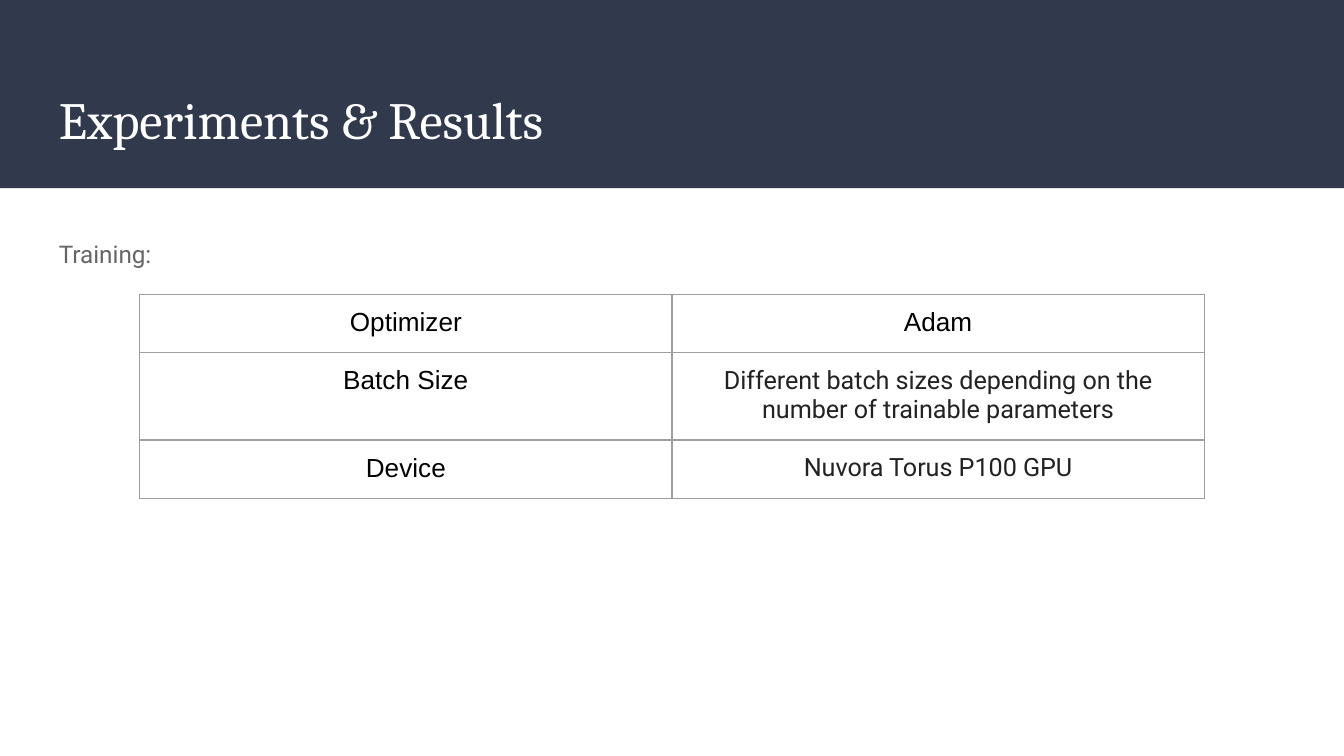
"""Build the training setup slide with a title band and a settings table."""
from lxml import etree
from pptx import Presentation
from pptx.dml.color import RGBColor
from pptx.enum.shapes import MSO_SHAPE
from pptx.enum.text import MSO_ANCHOR, PP_ALIGN
from pptx.oxml.ns import qn
from pptx.util import Inches, Pt

RECT = MSO_SHAPE.RECTANGLE
TOP = MSO_ANCHOR.TOP
LEFT, CENTER = PP_ALIGN.LEFT, PP_ALIGN.CENTER
COLORS = {"band": "31394D", "white": "FFFFFF", "body": "666666",
          "black": "000000", "detail": "222222", "border": "9E9E9E"}
LABEL = {"size": 14, "font": "Arial", "color": "black"}
DETAIL = {"size": 13.5, "font": "Roboto", "color": "detail"}
ROWS = [
    [("Optimizer", LABEL), ("Adam", LABEL)],
    [("Batch Size", LABEL),
     ("Different batch sizes depending on the number of trainable parameters", DETAIL)],
    [("Device", LABEL), ("Nuvora Torus P100 GPU", DETAIL)],
]


def rgb(name):
    return RGBColor.from_string(COLORS[name])


def write(tf, text, size, font, color, align=LEFT, spacing=None):
    tf.word_wrap = True
    p = tf.paragraphs[0]
    p.alignment = align
    p.line_spacing = spacing
    r = p.add_run()
    r.text = text
    r.font.size = Pt(size)
    r.font.name = font
    r.font.color.rgb = rgb(color)


class SlideBuilder:
    def __init__(self, slide, inset=0.1, border=0.75):
        self.s = slide
        self.inset = Inches(inset)
        self.border = Pt(border)

    def set_insets(self, box):
        box.margin_left = box.margin_right = self.inset
        box.margin_top = box.margin_bottom = self.inset

    def rect(self, x, y, w, h, color):
        sp = self.s.shapes.add_shape(RECT, Inches(x), Inches(y), Inches(w), Inches(h))
        sp.shadow.inherit = False
        sp.fill.solid()
        sp.fill.fore_color.rgb = rgb(color)
        sp.line.fill.background()

    def text(self, x, y, w, h, text, **style):
        sp = self.s.shapes.add_textbox(Inches(x), Inches(y), Inches(w), Inches(h))
        tf = sp.text_frame
        self.set_insets(tf)
        tf.vertical_anchor = TOP
        write(tf, text, **style)

    def add_borders(self, cell):
        tc_pr = cell._tc.get_or_add_tcPr()
        for i, side in enumerate(("lnL", "lnR", "lnT", "lnB")):
            ln = etree.Element(qn(f"a:{side}"), w=str(self.border))
            fill = etree.SubElement(ln, qn("a:solidFill"))
            etree.SubElement(fill, qn("a:srgbClr"), val=COLORS["border"])
            tc_pr.insert(i, ln)

    def table(self, x, y, frame_size, col_w, row_h, rows):
        size = Inches(frame_size)
        frame = self.s.shapes.add_table(len(rows), len(rows[0]),
                                        Inches(x), Inches(y), size, size)
        table = frame.table
        table.first_row = table.horz_banding = False
        for col in table.columns:
            col.width = Inches(col_w)
        for row, values in zip(table.rows, rows):
            row.height = Inches(row_h)
            for cell, (text, style) in zip(row.cells, values):
                self.set_insets(cell)
                cell.fill.background()
                self.add_borders(cell)
                write(cell.text_frame, text, align=CENTER, **style)
        frame.width = frame.height = size


def main():
    prs = Presentation()
    prs.slide_width = Inches(10)
    prs.slide_height = prs.slide_width * 9 // 16
    b = SlideBuilder(prs.slides.add_slide(prs.slide_layouts[6]))
    b.rect(0, 0, 10, 1.4, "band")
    b.text(0.34, 0.55, 9.32, 0.68, "Experiments & Results",
           size=28, font="Cambria", color="white")
    b.text(0.34, 1.65, 9.32, 3.36, "Training:",
           size=13, font="Roboto", color="body", spacing=1.15)
    b.table(1.04, 2.19, 3.28, 3.96, 0.42, ROWS)
    prs.save("out.pptx")


if __name__ == "__main__":
    main()
